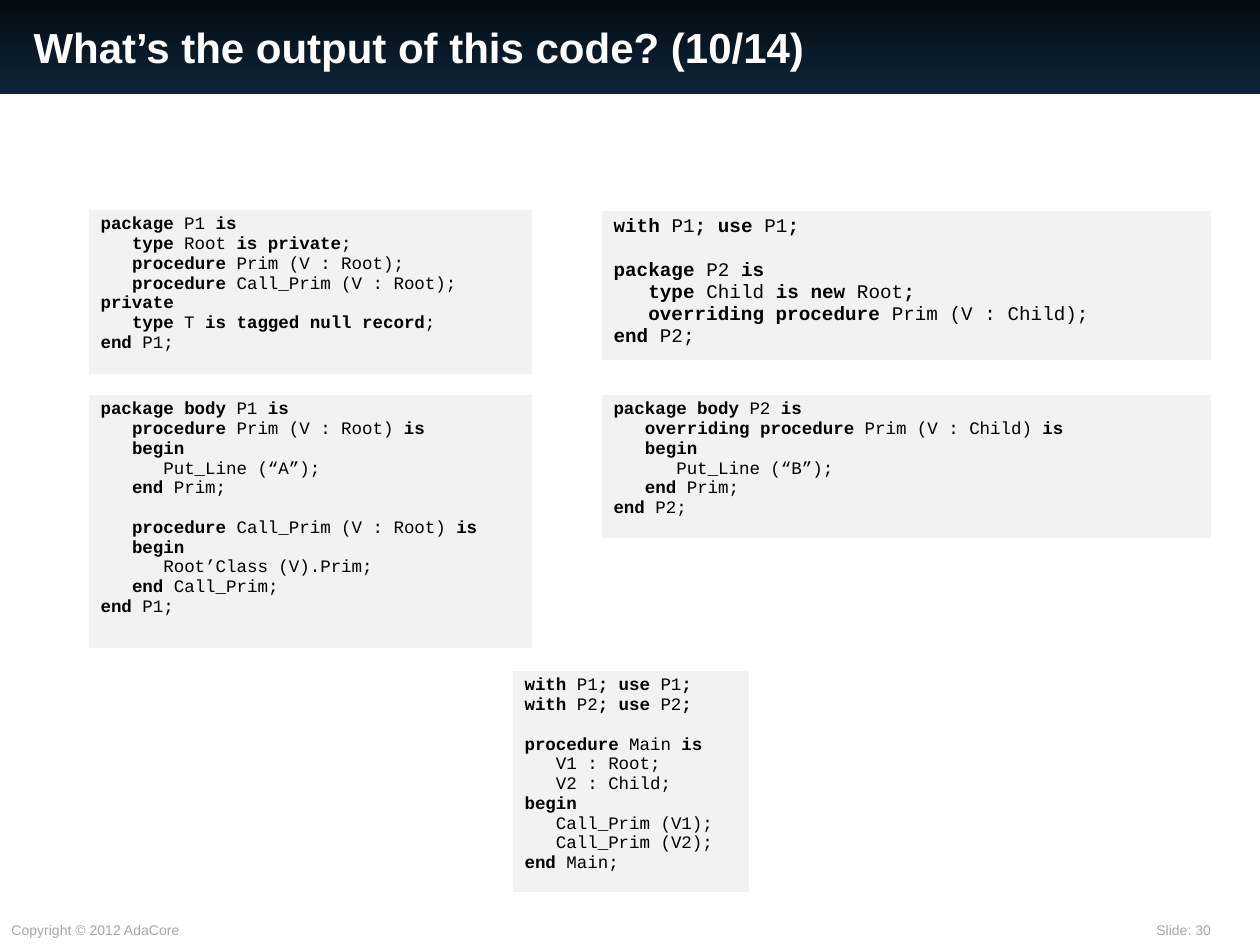
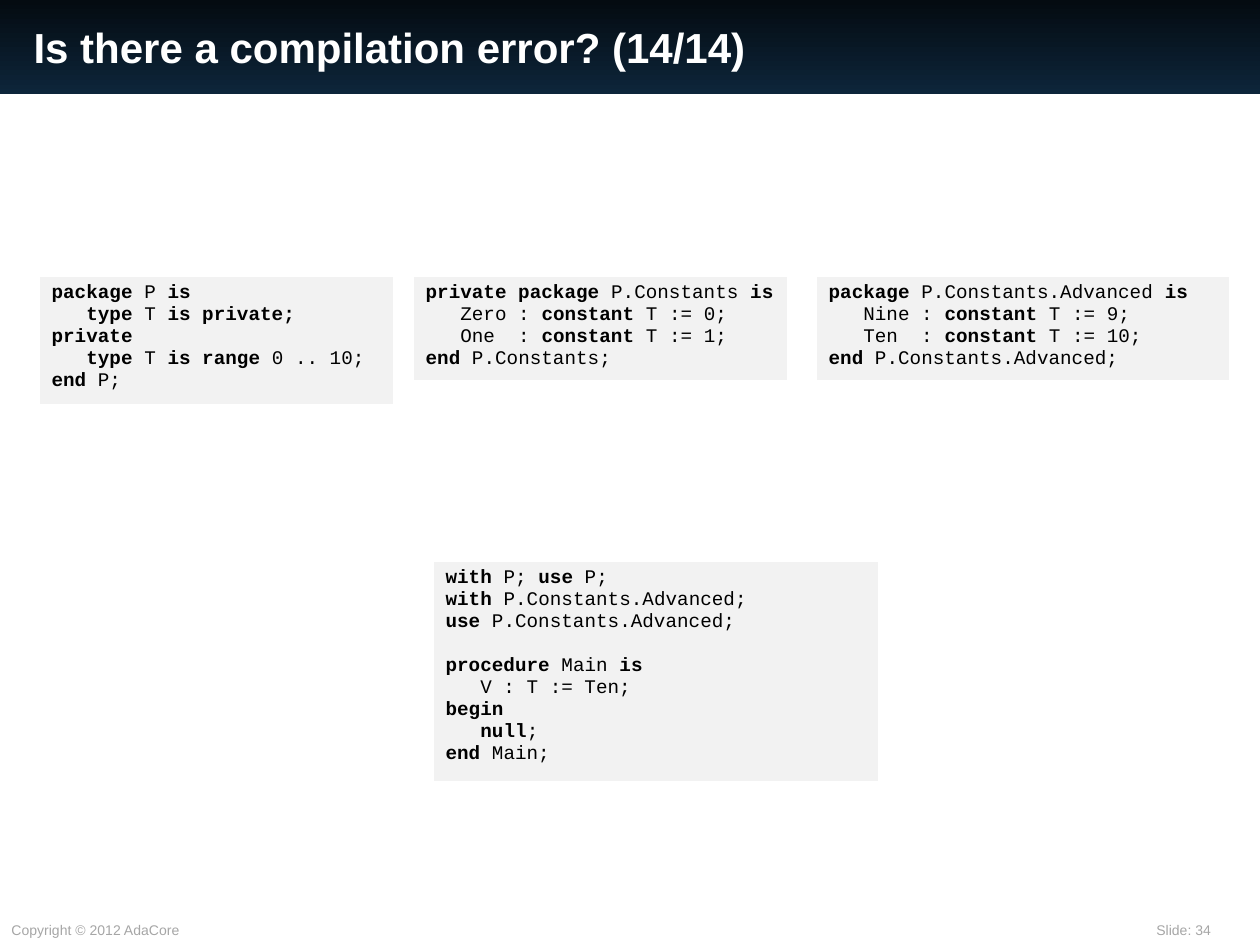
import pptx
import pptx.dml.color
import pptx.enum.shapes
import pptx.enum.text
import pptx.oxml
import pptx.oxml.ns
import pptx.util

SLIDE_WIDTH, SLIDE_HEIGHT = 1260, 945
PX_TO_EMU = 914400 / 126
LINE_HEIGHT = 1.13
TITLE_FONT, CODE_FONT = "Arial", "Courier New"
COLORS = {
    "band_top": "040B11",
    "band_bottom": "0D253A",
    "title": "FFFFFF",
    "footer": "A6A6A6",
    "code": "000000",
    "code_fill": "F2F2F2",
    "border": "FFFFFF",
}
BORDER_POINTS = {"lnL": 0.45, "lnR": 0.45, "lnT": 0.45, "lnB": 1.47}

# Asterisks in the listings switch bold on and off.
P1_SPEC = """\
*package* P1 *is*
   *type* Root *is private*;
   *procedure* Prim (V : Root);
   *procedure* Call_Prim (V : Root);
*private*
   *type* T *is tagged null record*;
*end* P1;"""

P1_BODY = """\
*package body* P1 *is*
   *procedure* Prim (V : Root) *is*
   *begin*
      Put_Line (“A”);
   *end* Prim;

   *procedure* Call_Prim (V : Root) *is*
   *begin*
      Root’Class (V).Prim;
   *end* Call_Prim;
*end* P1;"""

P2_SPEC = """\
*with* P1*; use* P1*;*

*package* P2 *is*
   *type* Child *is new* Root*;*
   *overriding procedure* Prim (V : Child);
*end* P2;"""

P2_BODY = """\
*package body* P2 *is*
   *overriding procedure* Prim (V : Child) *is*
   *begin*
      Put_Line (“B”);
   *end* Prim;
*end* P2;"""

DISPATCH_MAIN = """\
*with* P1*; use* P1*;*
*with* P2*; use* P2*;*

*procedure* Main *is*
   V1 : Root;
   V2 : Child;
*begin*
   Call_Prim (V1);
   Call_Prim (V2);
*end* Main;"""

P_SPEC = """\
*package* P *is*
   *type* T *is private;*
*private*
   *type* T *is range* 0 .. 10;
*end* P;"""

CONSTANTS_SPEC = """\
*private package* P.Constants *is*
   Zero : *constant* T := 0;
   One  : *constant* T := 1;
*end* P.Constants;"""

ADVANCED_SPEC = """\
*package* P.Constants.Advanced *is*
   Nine : *constant* T := 9;
   Ten  : *constant* T := 10;
*end* P.Constants.Advanced;"""

CONSTANTS_MAIN = """\
*with* P; *use* P;
*with* P.Constants.Advanced;
*use* P.Constants.Advanced;

*procedure* Main *is*
   V : T := Ten;
*begin*
   *null*;
*end* Main;"""

# Each listing: box in px (left, top, width, height), text size, code.
QUIZZES = [
    {
        "title": "What’s the output of this code? (10/14)",
        "number": 30,
        "listings": [
            ((88, 209, 444, 166), 10, P1_SPEC),
            ((88, 394, 444, 255), 10, P1_BODY),
            ((512, 670, 237, 223), 10, DISPATCH_MAIN),
            ((601, 210, 610, 151), 11, P2_SPEC),
            ((601, 394, 610, 145), 10, P2_BODY),
        ],
    },
    {
        "title": "Is there a compilation error? (14/14)",
        "number": 34,
        "listings": [
            ((39, 276, 354, 129), 11, P_SPEC),
            ((413, 276, 374, 105), 11, CONSTANTS_SPEC),
            ((816, 276, 413, 105), 11, ADVANCED_SPEC),
            ((433, 561, 445, 221), 11, CONSTANTS_MAIN),
        ],
    },
]


def px(length):
    return pptx.util.Emu(round(length * PX_TO_EMU))


def color(name):
    return pptx.dml.color.RGBColor.from_string(COLORS[name])


def style_font(font, name, size, color_name):
    font.name = name
    font.size = pptx.util.Pt(size)
    font.color.rgb = color(color_name)


def add_title_band(slide, title_text, box):
    left, top, width, height = box
    band = slide.shapes.add_shape(
        pptx.enum.shapes.MSO_SHAPE.RECTANGLE, *map(px, box))
    band.shadow.inherit = False
    band.line.fill.background()
    band.fill.gradient()
    band.fill.gradient_angle = 270
    for stop, name in zip(band.fill.gradient_stops, ("band_top", "band_bottom")):
        stop.color.rgb = color(name)

    title = slide.shapes.title
    title.left, title.top = px(left + 22), px(top + 10)
    title.width, title.height = px(width - 159), px(height - 21)
    title.element.getparent().append(title.element)  # in front of the band
    frame = title.text_frame
    frame.text = title_text
    frame.vertical_anchor = pptx.enum.text.MSO_ANCHOR.MIDDLE
    paragraph = frame.paragraphs[0]
    paragraph.alignment = pptx.enum.text.PP_ALIGN.LEFT
    style_font(paragraph.font, TITLE_FONT, 24, "title")
    paragraph.font.bold = True


def add_footer(slide, number, box):
    left, top, width, height = box
    notes = [
        (left, 198, "Copyright © 2012 AdaCore"),
        (left + width - 115, 115, f"Slide: {number}"),
    ]
    for note_left, note_width, text in notes:
        note = slide.shapes.add_textbox(
            px(note_left), px(top), px(note_width), px(height))
        note.text_frame.word_wrap = True
        note.text_frame.text = text
        style_font(note.text_frame.paragraphs[0].font, TITLE_FONT, 8, "footer")


def add_borders(cell):
    properties = cell._tc.get_or_add_tcPr()
    for side, points in BORDER_POINTS.items():
        properties.append(pptx.oxml.parse_xml(
            f'<a:{side} {pptx.oxml.ns.nsdecls("a")} w="{pptx.util.Pt(points)}">'
            f'<a:solidFill><a:srgbClr val="{COLORS["border"]}"/></a:solidFill>'
            f'</a:{side}>'))


def write_code(frame, code, size):
    """Write one paragraph a line; a blank line becomes space before the next."""
    paragraph = frame.paragraphs[0]
    after_blank = False
    for index, line in enumerate(code.split("\n")):
        if not line:
            after_blank = True
            continue
        if index:
            paragraph = frame.add_paragraph()
        if after_blank:
            paragraph.space_before = pptx.util.Pt(size * LINE_HEIGHT)
            after_blank = False
        for position, text in enumerate(line.split("*")):
            if text:
                run = paragraph.add_run()
                run.text = text
                style_font(run.font, CODE_FONT, size, "code")
                run.font.bold = position % 2 == 1


def add_listing(slide, box, size, code):
    table = slide.shapes.add_table(1, 1, *map(px, box)).table
    table.first_row = table.horz_banding = False
    cell = table.cell(0, 0)
    add_borders(cell)
    cell.fill.solid()
    cell.fill.fore_color.rgb = color("code_fill")
    write_code(cell.text_frame, code, size)


def add_quiz_slide(presentation, quiz):
    slide = presentation.slides.add_slide(presentation.slide_layouts[5])
    add_footer(slide, quiz["number"], (-1, 915, SLIDE_WIDTH, 30))
    add_title_band(slide, quiz["title"], (-1, 0, SLIDE_WIDTH + 1, 94))
    for box, size, code in quiz["listings"]:
        add_listing(slide, box, size, code)


def main():
    presentation = pptx.Presentation()
    presentation.slide_width = px(SLIDE_WIDTH)
    presentation.slide_height = px(SLIDE_HEIGHT)
    for quiz in QUIZZES:
        add_quiz_slide(presentation, quiz)
    presentation.save("out.pptx")


if __name__ == "__main__":
    main()
